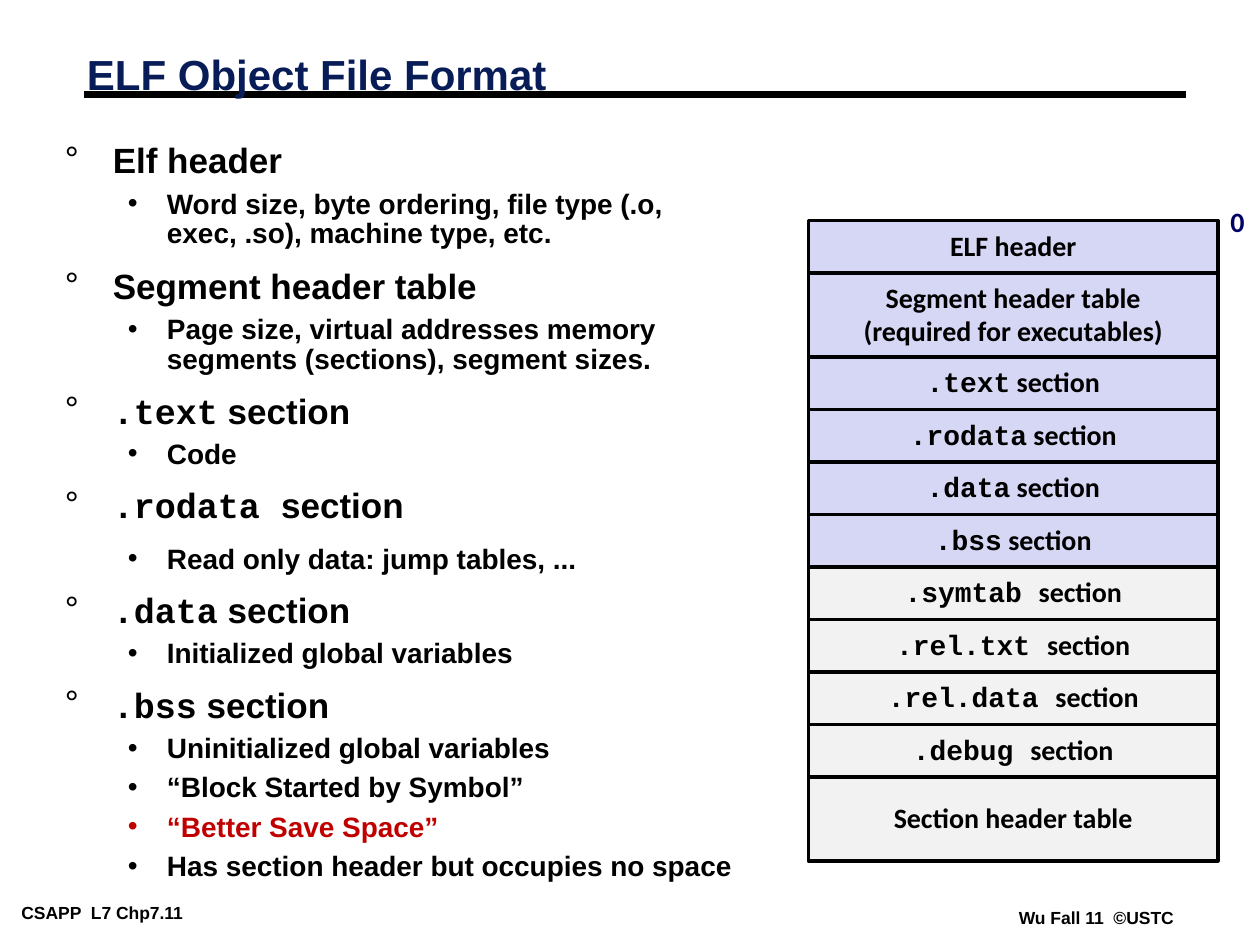
from dataclasses import dataclass

from lxml.etree import SubElement
from pptx import Presentation
from pptx.dml.color import RGBColor
from pptx.enum.shapes import MSO_CONNECTOR as CONN, MSO_SHAPE as SHAPE
from pptx.enum.text import MSO_ANCHOR as ANCHOR, PP_ALIGN as ALIGN
from pptx.oxml.ns import qn
from pptx.util import Inches, Pt


@dataclass(frozen=True)
class Theme:
    black: str = "000000"
    title: str = "081D58"
    accent: str = "C00000"
    offset: str = "000066"
    loaded: str = "D6D6F5"    # sections loaded into memory
    unloaded: str = "F2F2F2"  # symbol, relocation and debug sections
    sans: str = "Arial"
    box: str = "Calibri"
    code: str = "Courier New"
    title_size: int = 24
    head_size: int = 20
    body_size: int = 16
    foot_size: int = 10


T = Theme()
COLS, ROWS = 120, 90
WIDTH, HEIGHT = Inches(10), Inches(7.5)

# Outline: level, (code, plain text), colour, space before
HEAD, ITEM = 0, 1
OUTLINE = [
    (HEAD, ("", "Elf header"), T.black, 0),
    (ITEM, ("", "Word size, byte ordering, file type (.o, exec, .so), "
                "machine type, etc."), T.black, 5.6),
    (HEAD, ("", "Segment header table"), T.black, 12.5),
    (ITEM, ("", "Page size, virtual addresses memory segments (sections), "
                "segment sizes."), T.black, 5.6),
    (HEAD, (".text", " section"), T.black, 12.5),
    (ITEM, ("", "Code"), T.black, 5.6),
    (HEAD, (".rodata ", "section"), T.black, 12.5),
    (ITEM, ("", "Read only data: jump tables, ..."), T.black, 12.5),
    (HEAD, (".data", " section"), T.black, 12.5),
    (ITEM, ("", "Initialized global variables"), T.black, 5.6),
    (HEAD, (".bss", " section"), T.black, 12.5),
    (ITEM, ("", "Uninitialized global variables"), T.black, 5.6),
    (ITEM, ("", "“Block Started by Symbol”"), T.black, 5.6),
    (ITEM, ("", "“Better Save Space”"), T.accent, 5.6),
    (ITEM, ("", "Has section header but occupies no space"), T.black, 5.6),
]
# Bullet sign, left margin, hanging indent (inches), text size, per level
LEVELS = [("°", 0.38, 0.38, T.head_size), ("•", 0.81, 0.31, T.body_size)]

# File layout, top to bottom: fill, height in rows, lines of (code, plain text)
SECTIONS = [
    (T.loaded, 5, [("", "ELF header")]),
    (T.loaded, 8, [("", "Segment header table"),
                   ("", "(required for executables)")]),
    (T.loaded, 5, [(".text", " section")]),
    (T.loaded, 5, [(".rodata", " section")]),
    (T.loaded, 5, [(".data", " section")]),
    (T.loaded, 5, [(".bss", " section")]),
    (T.unloaded, 5, [(".symtab ", "section")]),
    (T.unloaded, 5, [(".rel.txt ", "section")]),
    (T.unloaded, 5, [(".rel.data ", "section")]),
    (T.unloaded, 5, [(".debug ", "section")]),
    (T.unloaded, 8, [("", "Section header table")]),
]


def x(cols):
    return round(WIDTH * cols / COLS)


def y(rows):
    return round(HEIGHT * rows / ROWS)


def rgb(color):
    return RGBColor.from_string(color)


def add_runs(p, parts, size, color, font):
    """Write a code part in the code font, then a plain part."""
    for text, face in zip(parts, (T.code, font)):
        if text:
            r = p.add_run()
            r.text = text
            r.font.name, r.font.size, r.font.bold = face, Pt(size), True
            r.font.color.rgb = rgb(color)


def set_margins(tf, side, end):
    tf.margin_left = tf.margin_right = Inches(side)
    tf.margin_top = tf.margin_bottom = Inches(end)


def add_label(s, box, text, size, color, font, spacing=1.0, margins=(0.1, 0.05),
              anchor=ANCHOR.TOP, wrap=False):
    left, top, width, height = box
    tf = s.shapes.add_textbox(x(left), y(top), x(width), y(height)).text_frame
    tf.word_wrap, tf.vertical_anchor = wrap, anchor
    set_margins(tf, *margins)
    p = tf.paragraphs[0]
    p.line_spacing = spacing
    add_runs(p, ("", text), size, color, font)


def add_rule(s, left, right, row):
    line = s.shapes.add_connector(CONN.STRAIGHT, x(left), y(row), x(right), y(row))
    line.line.color.rgb, line.line.width = rgb(T.black), Pt(4.5)
    SubElement(line._element.spPr, qn("a:effectLst"))


def add_bullet(p, sign, margin, hang, color):
    pPr = p._p.get_or_add_pPr()
    pPr.set("marL", str(Inches(margin)))
    pPr.set("indent", str(-Inches(hang)))
    SubElement(SubElement(pPr, qn("a:buClr")), qn("a:srgbClr")).set("val", color)
    SubElement(pPr, qn("a:buFont")).set("typeface", T.sans)
    SubElement(pPr, qn("a:buChar")).set("char", sign)


def add_outline(s, left, top, width, height):
    tf = s.shapes.add_textbox(x(left), y(top), x(width), y(height)).text_frame
    tf.word_wrap = True
    tf.margin_right = x(5)
    for i, (level, parts, color, before) in enumerate(OUTLINE):
        p = tf.add_paragraph() if i else tf.paragraphs[0]
        sign, margin, hang, size = LEVELS[level]
        add_bullet(p, sign, margin, hang, color)
        p.level = level
        p.space_before = Pt(before)
        if level == ITEM:
            p.line_spacing = 0.88 if before < 12 else 0.8
        else:
            p.line_spacing = 0.8 if parts[0] else 0.83
        add_runs(p, parts, size, color, T.sans)


def add_section(s, left, top, width, height, fill, lines):
    sp = s.shapes.add_shape(SHAPE.RECTANGLE, x(left), y(top), x(width), y(height))
    sp.shadow.inherit = False
    sp.fill.solid()
    sp.fill.fore_color.rgb = rgb(fill)
    sp.line.color.rgb, sp.line.width = rgb(T.black), Pt(2)
    tf = sp.text_frame
    tf.word_wrap, tf.vertical_anchor = False, ANCHOR.MIDDLE
    set_margins(tf, 0.1, 0.05)
    for i, parts in enumerate(lines):
        p = tf.add_paragraph() if i else tf.paragraphs[0]
        p.alignment = ALIGN.CENTER
        p.line_spacing = 0.94 if parts[0] else 0.98
        add_runs(p, parts, T.body_size, T.black, T.box)


def add_file_layout(s, left, top, width):
    for fill, height, lines in SECTIONS:
        add_section(s, left, top, width, height, fill, lines)
        top += height


def main():
    prs = Presentation()
    prs.slide_width, prs.slide_height = WIDTH, HEIGHT
    s = prs.slides.add_slide(prs.slide_layouts[6])

    # Footer
    for box, text in [((1.2, 85.5, 23.4, 2.7), "CSAPP  L7 Chp7.11"),
                      ((96.2, 86, 16.6, 2.7), "Wu Fall 11  ©USTC")]:
        add_label(s, box, text, T.foot_size, T.black, T.sans, margins=(0.07, 0.03))

    # Title over its rule
    add_rule(s, 8, 113, 9)
    add_label(s, (7.1, 4.7, 114.4, 5.4), "ELF Object File Format", T.title_size,
              T.title, T.sans, spacing=0.87, anchor=ANCHOR.MIDDLE, wrap=True)

    # Outline on the left, file layout on the right
    add_outline(s, 5, 13.3, 70.2, 75.1)
    add_file_layout(s, 77, 21, 39)
    add_label(s, (116, 19, 3.7, 4.3), "0", T.body_size, T.offset, T.box, spacing=0.98)

    prs.save("out.pptx")


if __name__ == "__main__":
    main()
